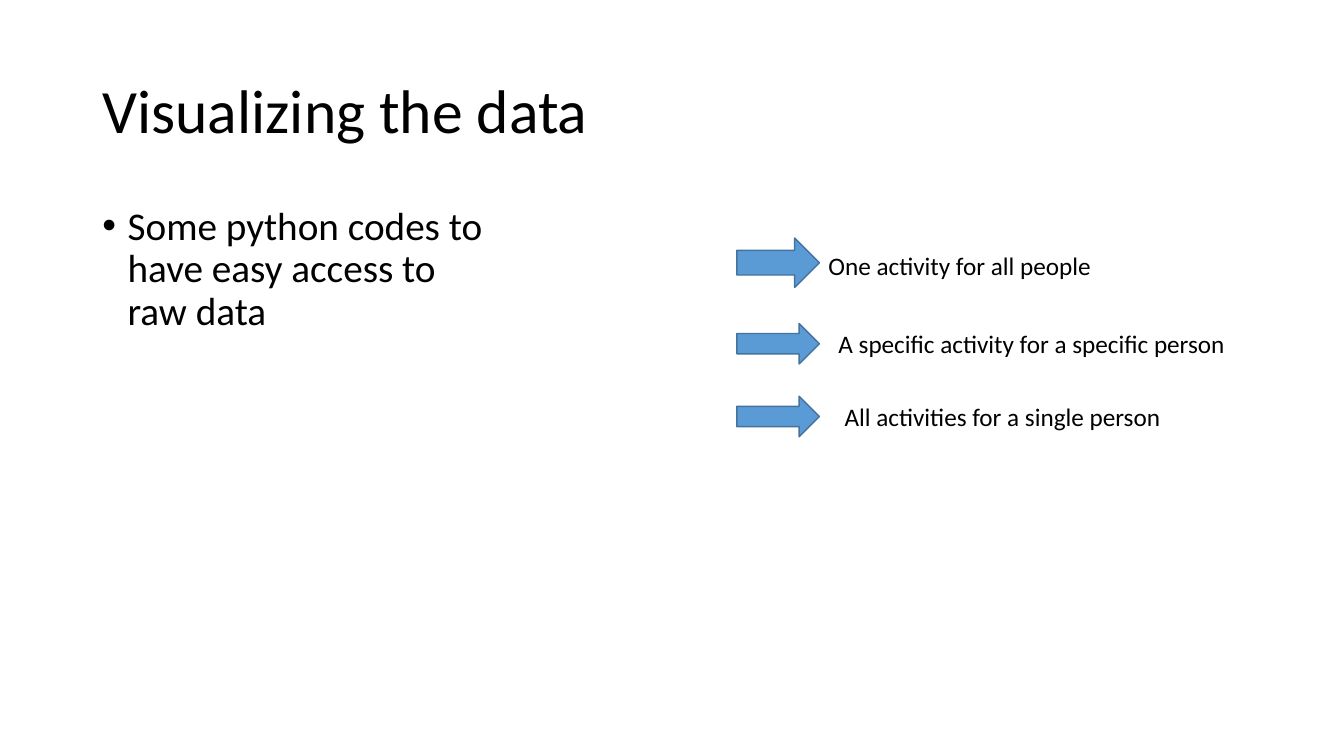
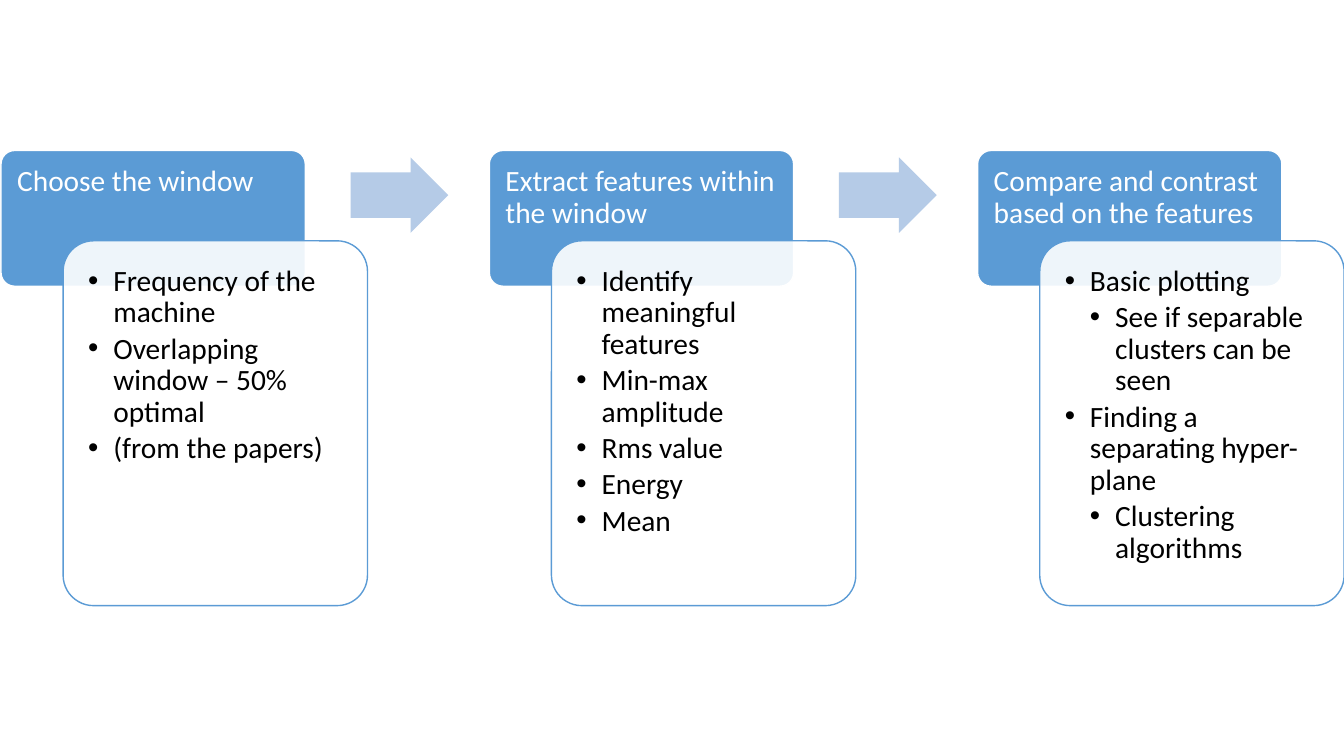
from lxml import etree
from pptx import Presentation
from pptx.dml.color import RGBColor
from pptx.enum.shapes import MSO_SHAPE
from pptx.enum.text import MSO_ANCHOR, MSO_AUTO_SIZE, PP_ALIGN
from pptx.oxml.ns import qn
from pptx.util import Pt

ARROW, ROUND = MSO_SHAPE.RIGHT_ARROW, MSO_SHAPE.ROUNDED_RECTANGLE
TOP, MIDDLE = MSO_ANCHOR.TOP, MSO_ANCHOR.MIDDLE
LEFT, FIXED = PP_ALIGN.LEFT, MSO_AUTO_SIZE.NONE

# Shared style
FONT = "Calibri"
BLACK, WHITE = "000000", "FFFFFF"
BLUE, EDGE, PALE = "5B9BD5", "43739E", "B5CBE7"
INDENT = 18

# Content
TITLE = "Visualizing the data"
POINTS = [("Some python codes to have easy access to raw data", 0)]
# label, label left, label top, label width, arrow top, arrow height
VIEWS = [
    ("One activity for all people", 584.7, 175, 204.5, 170, 35.3),
    ("A specific activity for a specific person", 591.8, 231, 293.8, 231, 29),
    ("All activities for a single person", 596.2, 283, 242.6, 283, 29),
]
STEPS = [
    ("Choose the window", [
        ("Frequency of the machine", 0),
        ("Overlapping window – 50% optimal", 0),
        ("(from the papers)", 0)]),
    ("Extract features within the window", [
        ("Identify meaningful features", 0),
        ("Min-max amplitude", 0),
        ("Rms value", 0),
        ("Energy", 0),
        ("Mean", 0)]),
    ("Compare and contrast based on the features", [
        ("Basic plotting", 0),
        ("See if separable clusters can be seen", 1),
        ("Finding a separating hyper-plane", 0),
        ("Clustering algorithms", 1)]),
]


def color(code):
    return RGBColor.from_string(code)


def place(item, x, y, w, h):
    item.left, item.top, item.width, item.height = Pt(x), Pt(y), Pt(w), Pt(h)


def write(frame, items, size, ink, bullet=False, before=0, after=0, line=0.9):
    """Fill a frame with (text, level) paragraphs."""
    frame.auto_size = FIXED
    for i, (text, level) in enumerate(items):
        para = frame.add_paragraph() if i else frame.paragraphs[0]
        para.text = text
        para.level = level
        para.alignment = LEFT
        para.line_spacing = line
        para.space_before, para.space_after = Pt(before), Pt(after)
        para.font.name, para.font.size = FONT, Pt(size)
        para.font.color.rgb = color(ink)
        if bullet:
            props = para._p.get_or_add_pPr()
            props.set("marL", str(Pt(INDENT * (level + 1))))
            props.set("indent", str(Pt(-INDENT)))
            etree.SubElement(props, qn("a:buFont")).set("typeface", "Arial")
            etree.SubElement(props, qn("a:buChar")).set("char", "•")


def draw(slide, kind, box, fill, edge=None, adjust=(), alpha=None):
    shape = slide.shapes.add_shape(kind, *map(Pt, box))
    shape.shadow.inherit = False
    shape.fill.solid()
    shape.fill.fore_color.rgb = color(fill)
    if alpha:
        tint = shape.element.spPr.find(qn("a:solidFill"))[0]
        etree.SubElement(tint, qn("a:alpha")).set("val", str(alpha * 1000))
    if edge:
        shape.line.color.rgb = color(edge)
        shape.line.width = Pt(1)
    else:
        shape.line.fill.background()
    for i, value in enumerate(adjust):
        shape.adjustments[i] = value
    return shape


def card(slide, box, fill, edge, items, ink, inset, alpha=None, **style):
    """Draw a rounded box with text at its top left."""
    shape = draw(slide, ROUND, box, fill, edge, [0.1], alpha)
    frame = shape.text_frame
    frame.word_wrap, frame.vertical_anchor = True, TOP
    frame.margin_left = frame.margin_right = Pt(inset)
    frame.margin_top = frame.margin_bottom = Pt(inset)
    write(frame, items, 21, ink, **style)


def views(deck):
    slide = deck.slides.add_slide(deck.slide_layouts[1])
    title, body = slide.placeholders
    place(title, 66, 28.8, 828, 104.4)
    title.text_frame.vertical_anchor = MIDDLE
    write(title.text_frame, [(TITLE, 0)], 44, BLACK)
    place(body, 66, 144, 299.5, 342.7)
    write(body.text_frame, POINTS, 28, BLACK, bullet=True, before=10)

    # Arrows with their labels
    for text, x, y, wide, top, high in VIEWS:
        draw(slide, ARROW, (526.3, top, 59, high), BLUE, EDGE)
        label = slide.shapes.add_textbox(Pt(x), Pt(y), Pt(wide), Pt(29))
        label.text_frame.word_wrap = False
        write(label.text_frame, [(text, 0)], 18, BLACK, line=1)


def steps(deck):
    slide = deck.slides.add_slide(deck.slide_layouts[6])
    pitch, wide = 348.8, 217.4
    for i, (head, items) in enumerate(STEPS):
        x = 0.7 + i * pitch
        card(slide, (x, 107.5, wide, 97), BLUE, WHITE, [(head, 0)], WHITE, 8.7)
        card(slide, (x + 44.4, 172, wide, 260.6), WHITE, BLUE, items, BLACK,
             11.5, alpha=90, bullet=True, after=3.15)
        if i < len(STEPS) - 1:
            draw(slide, ARROW, (x + 249.8, 112.4, 69.8, 54), PALE,
                 adjust=[0.6, 0.5])


def main():
    deck = Presentation()
    deck.slide_width, deck.slide_height = Pt(960), Pt(540)
    views(deck)
    steps(deck)
    deck.save("out.pptx")


if __name__ == "__main__":
    main()
